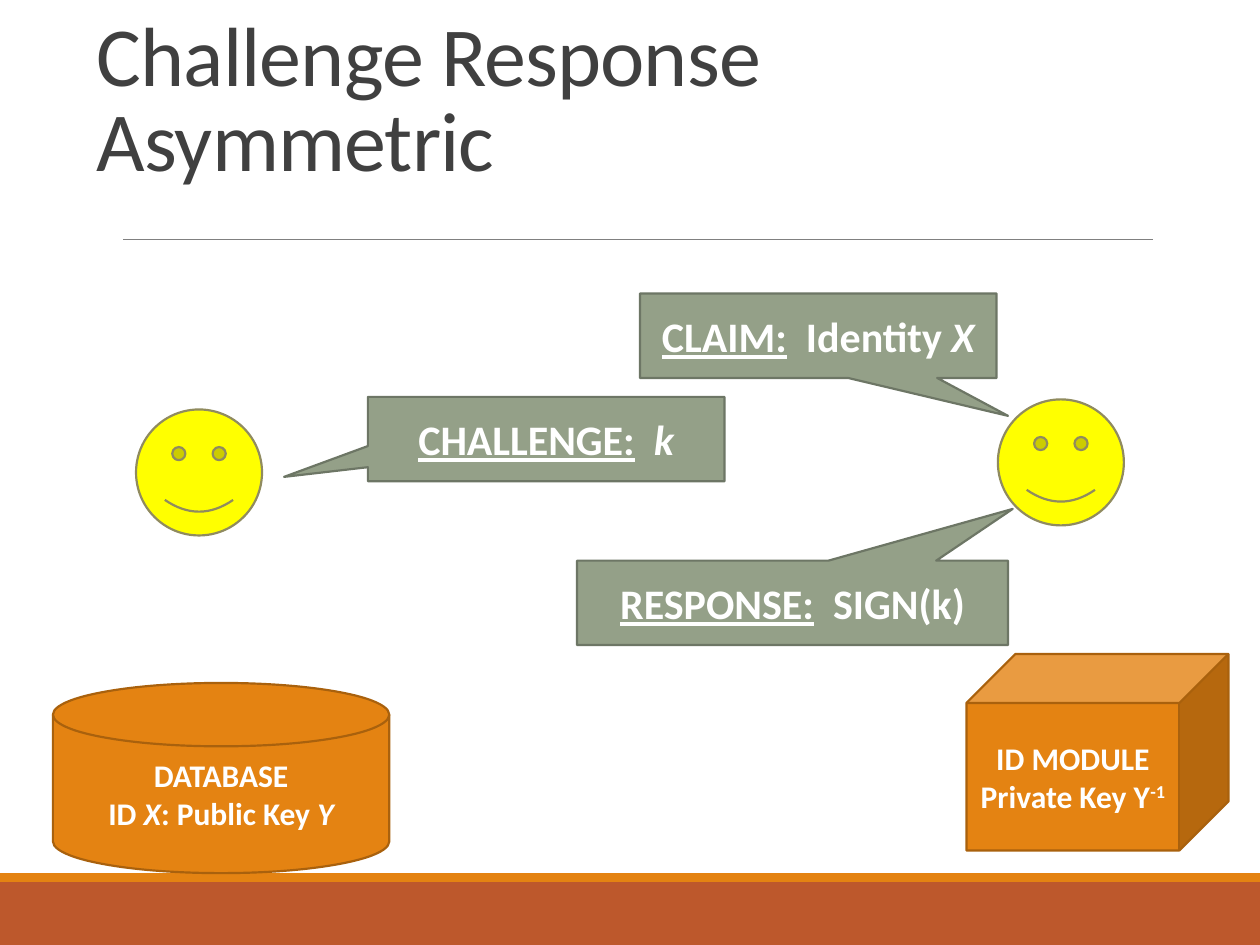
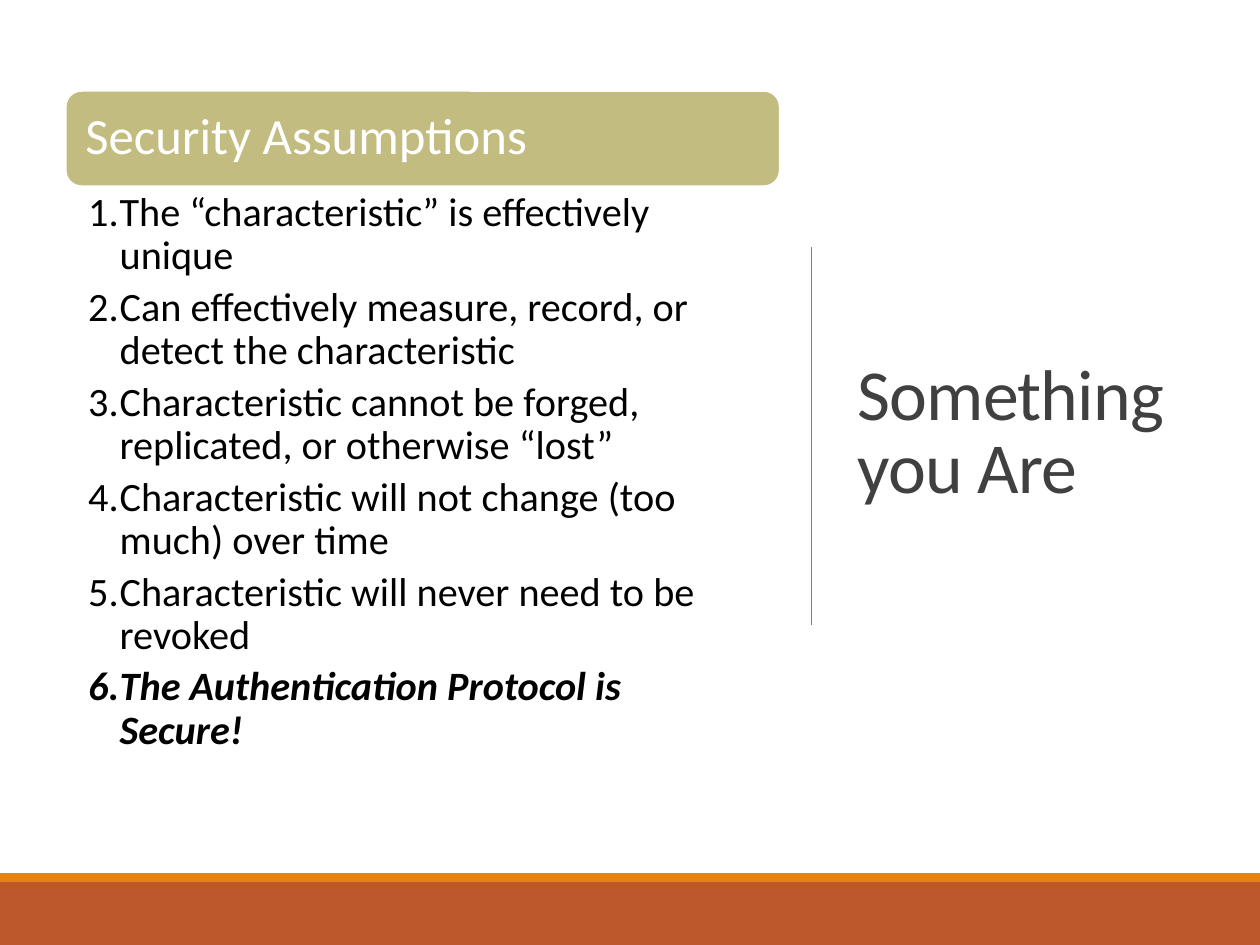
from lxml import etree
from pptx import Presentation
from pptx.dml.color import RGBColor
from pptx.enum import shapes, text
from pptx.oxml.ns import qn
from pptx.util import Inches, Pt

FONT = "Calibri"
WHITE, BLACK, TITLE, RULE = "FFFFFF", "000000", "404040", "808080"
ORANGE, ORANGE_EDGE, RUST = "E48312", "A9610D", "BD582C"
SAGE, SAGE_EDGE, YELLOW, YELLOW_EDGE, KHAKI = "94A088", "6D7665", "FFFF00", "908B5F", "C2BC80"
SHAPE = shapes.MSO_SHAPE
MIDDLE, CENTER, LEFT = text.MSO_ANCHOR.MIDDLE, text.PP_ALIGN.CENTER, text.PP_ALIGN.LEFT


def add_block(slide, kind, box, fill, edge=None):
    block = slide.shapes.add_shape(kind, *map(Inches, box))
    block.shadow.inherit = False
    block.fill.solid()
    block.fill.fore_color.rgb = RGBColor.from_string(fill)
    if edge:
        block.line.color.rgb = RGBColor.from_string(edge)
        block.line.width = Pt(1.25)
    else:
        block.line.fill.background()
    return block


def write(frame, lines, size, color=WHITE, bold=None, align=LEFT, anchor=MIDDLE,
          spacing=None, after=None, numbered=False):
    frame.word_wrap = True
    frame.vertical_anchor = anchor
    for number, line in enumerate(lines):
        paragraph = frame.add_paragraph() if number else frame.paragraphs[0]
        paragraph.alignment = align
        paragraph.line_spacing = spacing
        paragraph.space_after = after
        if numbered:
            props = paragraph._p.get_or_add_pPr()
            props.set("marL", str(Inches(0.25)))
            props.set("indent", str(-Inches(0.25)))
            etree.SubElement(props, qn("a:buFont"), typeface="+mj-lt")
            etree.SubElement(props, qn("a:buAutoNum"), type="arabicPeriod")
        paragraph.font.name = FONT
        paragraph.font.size = Pt(size)
        paragraph.font.bold = bold
        paragraph.font.color.rgb = RGBColor.from_string(color)
        for words, style in line:
            run = paragraph.add_run()
            run.text = words
            if "b" in style:
                run.font.bold = True
            if "i" in style:
                run.font.italic = True
            if "u" in style:
                run.font.underline = True
            if "^" in style:
                run._r.get_or_add_rPr().set("baseline", "30000")


deck = Presentation()
deck.slide_width, deck.slide_height = Inches(10), Inches(7.5)

pages = [
    ("Challenge Response Asymmetric", (0.67, 0.3, 8.67, 1.25), 48, text.MSO_ANCHOR.BOTTOM,
     (0.98, 1.9, 9.15, 1.9)),
    ("Something you Are", (6.71, 0.69, 2.77, 5.53), 41, MIDDLE, (6.44, 1.96, 6.44, 4.96)),
]
slides = []
for heading, box, size, anchor, rule_ends in pages:
    slide = deck.slides.add_slide(deck.slide_layouts[6])
    slides.append(slide)
    add_block(slide, SHAPE.RECTANGLE, (0, 7, 10, 0.5), RUST)
    add_block(slide, SHAPE.RECTANGLE, (0, 6.93, 10, 0.07), ORANGE)
    rule = slide.shapes.add_connector(shapes.MSO_CONNECTOR.STRAIGHT, *map(Inches, rule_ends))
    rule.line.color.rgb = RGBColor.from_string(RULE)
    rule.line.width = Pt(0.5)
    etree.SubElement(rule._element.spPr, qn("a:effectLst"))
    title = slide.shapes.add_textbox(*map(Inches, box)).text_frame
    write(title, [[(heading, "")]], size, TITLE, anchor=anchor, spacing=0.85)
    title.paragraphs[0]._p.pPr.find(qn("a:defRPr")).set("spc", "-50")

protocol, assumptions = slides

for left, top in [(7.92, 3.17), (1.08, 3.25)]:
    add_block(protocol, SHAPE.SMILEY_FACE, (left, top, 1, 1), YELLOW, YELLOW_EDGE)

messages = [
    ((5.08, 2.33, 2.83, 0.67), (0.532, 0.949),
     [("CLAIM:", "u"), ("  Identity ", ""), ("X", "i")]),
    ((2.92, 3.15, 2.83, 0.67), (-0.735, 0.448),
     [("CHALLENGE:", "u"), ("  ", ""), ("k", "i")]),
    ((4.58, 4.45, 3.42, 0.67), (0.511, -1.113),
     [("RESPONSE:", "u"), ("  SIGN(k)", "")]),
]
for box, pointer, message in messages:
    callout = add_block(protocol, SHAPE.RECTANGULAR_CALLOUT, box, SAGE, SAGE_EDGE)
    callout.adjustments[0], callout.adjustments[1] = pointer
    write(callout.text_frame, [message], 24, bold=True, align=CENTER)

key_stores = [
    (SHAPE.FLOWCHART_MAGNETIC_DISK, (0.42, 5.42, 2.67, 1.51),
     [[("DATABASE", "")], [("ID ", ""), ("X", "i"), (": Public Key ", ""), ("Y", "i")]]),
    (SHAPE.CUBE, (7.67, 5.19, 2.08, 1.56),
     [[("ID MODULE", "")], [("Private Key Y", ""), ("-1", "^")]]),
]
for kind, box, lines in key_stores:
    store = add_block(protocol, kind, box, ORANGE, ORANGE_EDGE)
    write(store.text_frame, lines, 18, bold=True, align=CENTER)

banner = add_block(assumptions, SHAPE.ROUNDED_RECTANGLE, (0.52, 0.72, 5.67, 0.76), KHAKI, WHITE)
banner.text_frame.margin_left = banner.text_frame.margin_right = Inches(0.12)
write(banner.text_frame, [[("Security Assumptions", "")]], 29, spacing=0.9)

points = [
    ("The “characteristic” is effectively unique", ""),
    ("Can effectively measure, record, or detect the characteristic", ""),
    ("Characteristic cannot be forged, replicated, or otherwise “lost”", ""),
    ("Characteristic will not change (too much) over time", ""),
    ("Characteristic will never need to be revoked", ""),
    ("The Authentication Protocol is Secure!", "bi"),
]
point_list = assumptions.shapes.add_textbox(*map(Inches, (0.52, 1.48, 5.67, 4.73))).text_frame
point_list.margin_left, point_list.margin_right = Inches(0.18), Inches(0.23)
point_list.margin_top = point_list.margin_bottom = Inches(0.04)
write(point_list, [[point] for point in points], 23, BLACK, anchor=text.MSO_ANCHOR.TOP,
      spacing=0.9, after=Pt(4.6), numbered=True)

deck.save("out.pptx")
